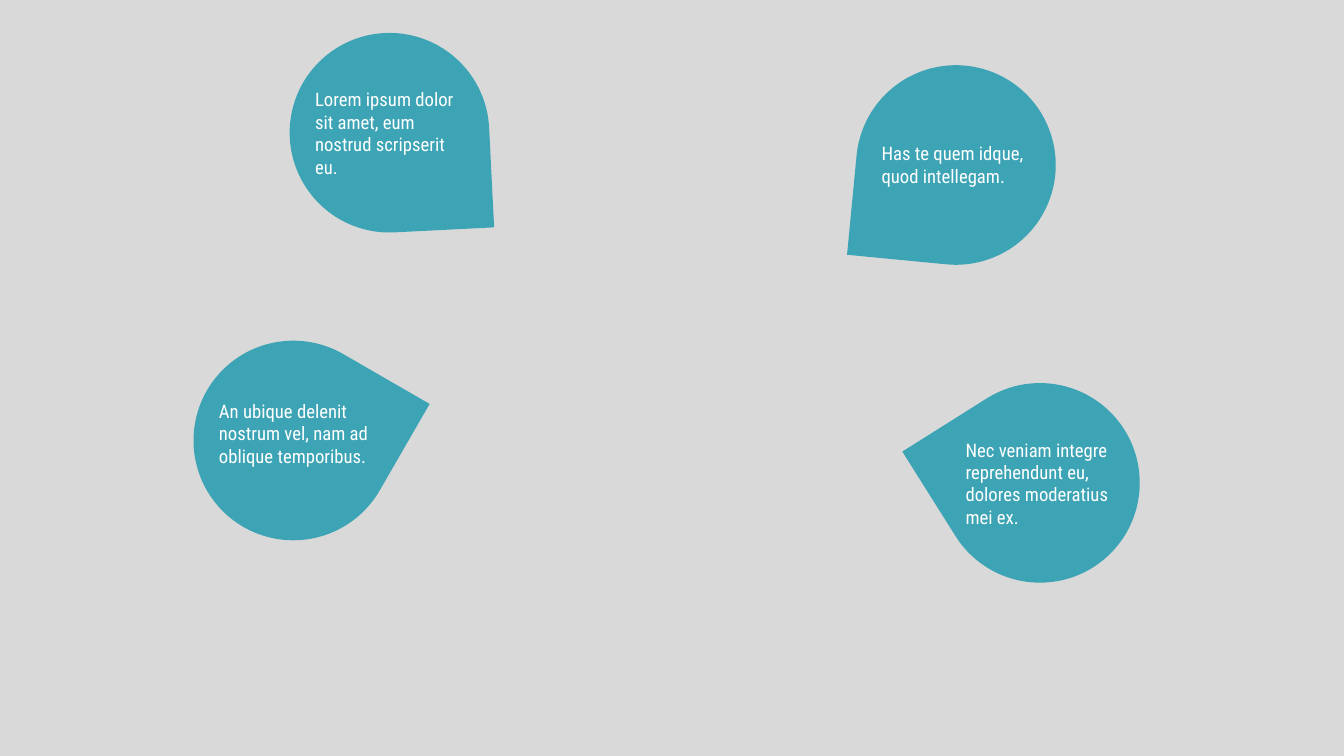
"""Build a slide with four teardrop callouts on a grey background."""
from pptx import Presentation
from pptx.dml.color import RGBColor
from pptx.enum.shapes import MSO_SHAPE
from pptx.enum.text import MSO_ANCHOR
from pptx.util import Inches, Pt

GREY = RGBColor(0xD9, 0xD9, 0xD9)
TEAL = RGBColor(0x3D, 0xA4, 0xB5)
WHITE = RGBColor(0xFF, 0xFF, 0xFF)

DROP = 2.97
TEXT_W, TEXT_H = 2.42, 1.68
TEXT_DX = 0.28

# left, top, rotation, text offset from the top, text
callouts = [
    (4.31, 0.49, 87.1, 0.65, "Lorem ipsum dolor sit amet, eum nostrud scripserit eu."),
    (12.74, 0.97, 185.5, 0.64, "Has te quem idque, quod intellegam."),
    (2.88, 5.07, 30, 0.54, "An ubique delenit nostrum vel, nam ad oblique temporibus."),
    (13.99, 5.7, 237.8, 0.65, "Nec veniam integre reprehendunt eu, dolores moderatius mei ex."),
]

prs = Presentation()
prs.slide_width = Inches(20)
prs.slide_height = Inches(11.25)
s = prs.slides.add_slide(prs.slide_layouts[6])
s.background.fill.solid()
s.background.fill.fore_color.rgb = GREY

for x, y, rotation, dy, text in callouts:
    sp = s.shapes.add_shape(MSO_SHAPE.TEAR, Inches(x), Inches(y), Inches(DROP), Inches(DROP))
    sp.rotation = rotation
    sp.shadow.inherit = False
    sp.fill.solid()
    sp.fill.fore_color.rgb = TEAL
    sp.line.fill.background()

    tb = s.shapes.add_textbox(Inches(x + TEXT_DX), Inches(y + dy), Inches(TEXT_W), Inches(TEXT_H))
    tf = tb.text_frame
    tf.word_wrap = True
    tf.vertical_anchor = MSO_ANCHOR.MIDDLE
    tf.text = text
    r = tf.paragraphs[0].runs[0]
    r.font.name = "Roboto Condensed"
    r.font.size = Pt(20)
    r.font.color.rgb = WHITE

prs.save("out.pptx")
